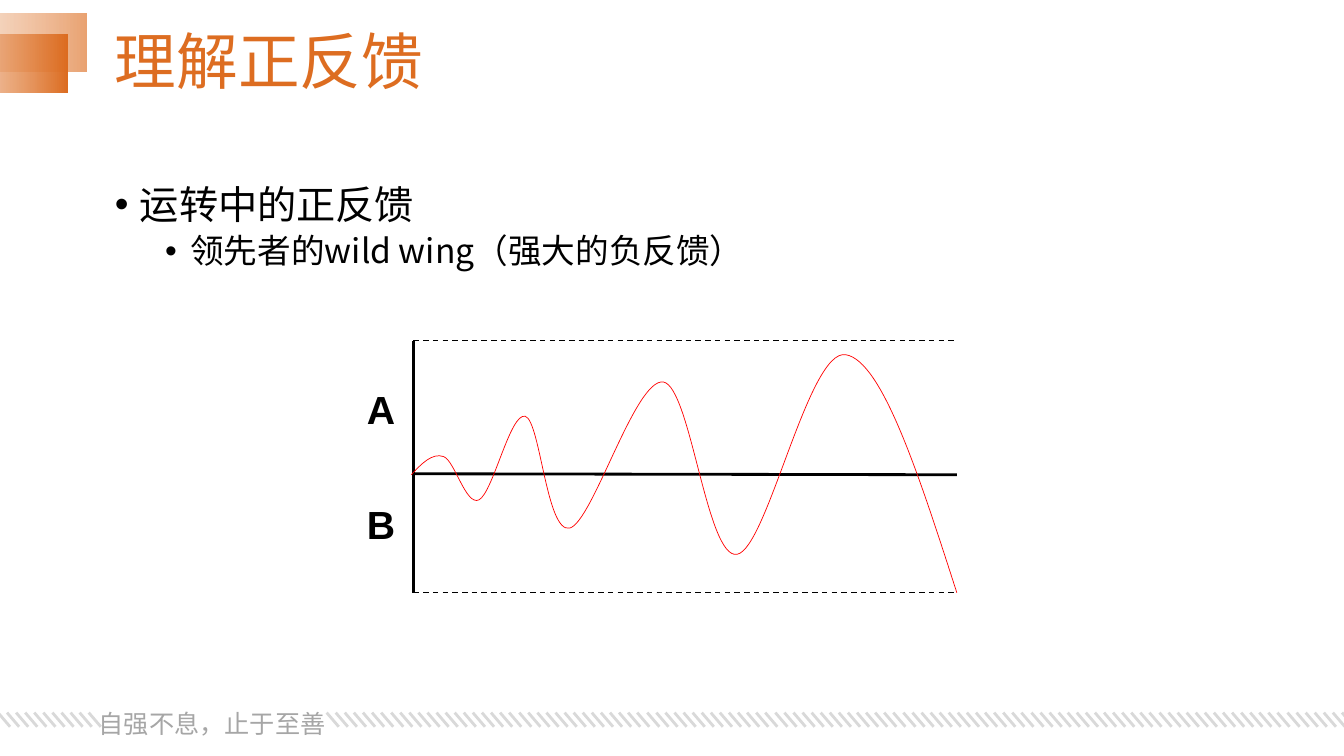
from typing import NamedTuple

from lxml import etree
from pptx import Presentation
from pptx.dml.color import RGBColor
from pptx.enum.dml import MSO_LINE
from pptx.enum.shapes import MSO_CONNECTOR, MSO_SHAPE
from pptx.enum.text import MSO_ANCHOR, MSO_AUTO_SIZE, PP_ALIGN
from pptx.oxml.ns import qn
from pptx.util import Emu, Pt

PX = 9144  # 100 px to the inch
STRAIGHT = MSO_CONNECTOR.STRAIGHT
RECTANGLE = MSO_SHAPE.RECTANGLE
DASH = MSO_LINE.DASH
LEFT, JUSTIFY = PP_ALIGN.LEFT, PP_ALIGN.JUSTIFY
MIDDLE = MSO_ANCHOR.MIDDLE
NO_FIT, GROW = MSO_AUTO_SIZE.NONE, MSO_AUTO_SIZE.SHAPE_TO_FIT_TEXT

COLORS = {
    "orange": "DD6D21",
    "peach": "EAA372",
    "white": "FFFFFF",
    "black": "000000",
    "hatch": "D9D9D9",
    "motto": "A6A6A6",
    "wave": "FF0000",
}
SANS = "Noto Sans CJK SC"


class Band(NamedTuple):
    left: int
    top: int
    color: str
    start_opacity: int


class Hatch(NamedTuple):
    first: int
    last: int
    count: int


class Rule(NamedTuple):
    x1: int
    y1: int
    x2: int
    y2: int
    width: int
    dashed: bool = False


class Label(NamedTuple):
    text: str
    top: int


class Bullet(NamedTuple):
    text: str
    size: int
    level: int
    indent: int
    space_before: int


BANDS = [Band(-159, 13, "peach", 25), Band(-178, 34, "orange", 0)]
HATCHES = [Hatch(-2, 88, 11), Hatch(324, 1331, 112)]
RULES = [
    Rule(410, 338, 410, 588, 2),
    Rule(410, 470, 949, 471, 2),
    Rule(410, 588, 949, 588, 1, True),
    Rule(410, 338, 949, 338, 1, True),
]
LABELS = [Label("A", 377), Label("B", 491)]
BULLETS = [
    Bullet("运转中的正反馈", 28, 0, 25, 0),
    Bullet("领先者的wild wing（强大的负反馈）", 24, 1, 75, 5),
]
# Start point, then two control points and an end point for each curve
WAVE = [
    (408, 471),
    (418, 460), (429, 449), (440, 453),
    (451, 457), (462, 502), (475, 496),
    (489, 489), (506, 409), (521, 413),
    (536, 418), (542, 529), (565, 524),
    (588, 518), (630, 375), (658, 379),
    (685, 384), (701, 555), (731, 550),
    (761, 545), (802, 345), (839, 352),
    (875, 358), (912, 473), (949, 588),
]


def px(value: float) -> Emu:
    return Emu(round(value * PX))


def rgb(name: str) -> RGBColor:
    return RGBColor.from_string(COLORS[name])


def add_span(para, text: str, size: int, color: str, font: str, bold: bool = False) -> None:
    span = para.add_run()
    span.text = text
    span.font.size = Pt(size)
    span.font.bold = bold
    span.font.color.rgb = rgb(color)
    span.font.name = font
    etree.SubElement(span.font._element, qn("a:ea"), typeface=font)


def add_box(page, left: int, top: int, width: int, height: int, wrap: bool, fit):
    frame = page.shapes.add_textbox(px(left), px(top), px(width), px(height)).text_frame
    frame.word_wrap = wrap
    frame.auto_size = fit
    return frame


def add_band(page, band: Band) -> None:
    box = page.shapes.add_shape(RECTANGLE, px(band.left), px(band.top), px(245), px(58))
    box.shadow.inherit = False
    box.line.fill.background()
    box.fill.gradient()
    box.fill.gradient_angle = 0
    start, end = box.fill.gradient_stops
    start.position, end.position = 0, 1
    start.color.rgb, end.color.rgb = rgb("white"), rgb(band.color)
    white = box._element.spPr.find(".//" + qn("a:srgbClr"))
    etree.SubElement(white, qn("a:alpha"), val=str(band.start_opacity * 1000))


def add_rule(shapes, rule: Rule, color: str) -> None:
    line = shapes.add_connector(STRAIGHT, px(rule.x1), px(rule.y1), px(rule.x2), px(rule.y2))
    line.line.color.rgb = rgb(color)
    line.line.width = Pt(rule.width)
    if rule.dashed:
        line.line.dash_style = DASH
    etree.SubElement(line._element.spPr, qn("a:effectLst"))


def add_hatch(page, hatch: Hatch) -> None:
    group = page.shapes.add_group_shape()
    step = (hatch.last - hatch.first) / (hatch.count - 1)
    for index in range(hatch.count):
        x = round(hatch.first + index * step)
        add_rule(group.shapes, Rule(x, 707, x + 12, 721, 2), "hatch")


def add_wave(page) -> None:
    """Outline all the points, then join each three segments into one Bézier curve."""
    builder = page.shapes.build_freeform(*WAVE[0], scale=PX)
    builder.add_line_segments(WAVE[1:], close=False)
    wave = builder.convert_to_shape()
    wave.shadow.inherit = False
    wave.fill.background()
    wave.line.color.rgb = rgb("wave")
    wave.line.width = Pt(0.5)
    segments = wave._element.findall(".//" + qn("a:lnTo"))
    outline = segments[0].getparent()
    for index in range(0, len(segments), 3):
        curve = etree.SubElement(outline, qn("a:cubicBezTo"))
        for segment in segments[index:index + 3]:
            curve.append(segment[0])
            outline.remove(segment)


def add_title(page) -> None:
    title = page.shapes.title
    title.left, title.top, title.width, title.height = px(104), px(11), px(1150), px(107)
    frame = title.text_frame
    frame.vertical_anchor = MIDDLE
    frame.auto_size = NO_FIT
    para = frame.paragraphs[0]
    para.alignment = LEFT
    para.line_spacing = 0.9
    add_span(para, "理解正反馈", 44, "orange", SANS)


def add_bullets(page) -> None:
    frame = add_box(page, 104, 179, 1150, 484, True, NO_FIT)
    for index, bullet in enumerate(BULLETS):
        para = frame.add_paragraph() if index else frame.paragraphs[0]
        para.level = bullet.level
        para.line_spacing = 0.9
        para.space_before = Pt(bullet.space_before)
        properties = para._p.get_or_add_pPr()
        properties.set("marL", str(px(bullet.indent)))
        properties.set("indent", str(px(-25)))
        etree.SubElement(properties, qn("a:buFont"), typeface="Arial")
        etree.SubElement(properties, qn("a:buChar"), char="•")
        add_span(para, bullet.text, bullet.size, "black", SANS)


def main() -> None:
    deck = Presentation()
    deck.slide_width, deck.slide_height = px(1333), px(750)
    page = deck.slides.add_slide(deck.slide_layouts.get_by_name("Title Only"))
    for band in BANDS:
        add_band(page, band)
    for hatch in HATCHES:
        add_hatch(page, hatch)
    motto = add_box(page, 88, 683, 246, 52, False, GROW).paragraphs[0]
    motto.alignment = JUSTIFY
    motto.line_spacing = 1.5
    add_span(motto, "自强不息，止于至善", 18, "motto", "Noto Sans CJK JP")
    add_title(page)
    add_bullets(page)
    for rule in RULES:
        add_rule(page.shapes, rule, "black")
    for label in LABELS:
        frame = add_box(page, 354, label.top, 49, 57, False, GROW)
        add_span(frame.paragraphs[0], label.text, 28, "black", "Arial", bold=True)
    add_wave(page)
    deck.save("out.pptx")


if __name__ == "__main__":
    main()
